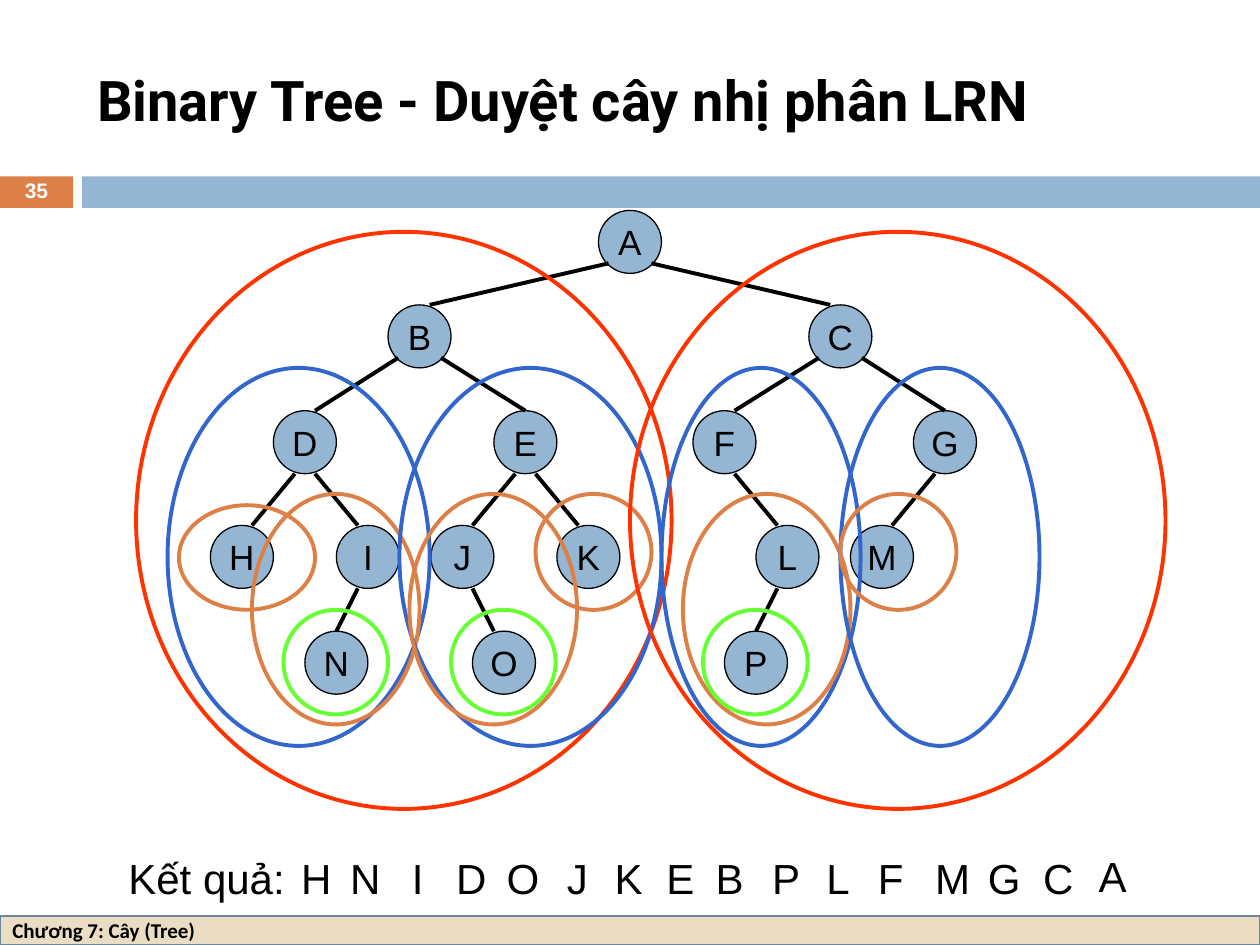
from lxml import etree
from pptx import Presentation
from pptx.dml.color import RGBColor
from pptx.enum.shapes import MSO_CONNECTOR, MSO_SHAPE
from pptx.enum.text import MSO_ANCHOR, MSO_AUTO_SIZE, PP_ALIGN
from pptx.oxml.ns import qn
from pptx.util import Inches, Pt

RECT, OVAL = MSO_SHAPE.RECTANGLE, MSO_SHAPE.OVAL
LINE = MSO_CONNECTOR.STRAIGHT
MIDDLE, TOP = MSO_ANCHOR.MIDDLE, MSO_ANCHOR.TOP
LEFT, CENTER = PP_ALIGN.LEFT, PP_ALIGN.CENTER
FIXED, GROW = MSO_AUTO_SIZE.NONE, MSO_AUTO_SIZE.SHAPE_TO_FIT_TEXT

BLACK, WHITE = "000000", "FFFFFF"
SKY, SAND, SLATE = "94B6D2", "EBDDC3", "6B859A"
RED, BLUE, ORANGE, GREEN = "FF3300", "3366CC", "DD8047", "66FF33"

HEAD = {"name": "Roboto", "size": Pt(32), "bold": True}
NOTE = {"name": "Calibri", "size": Pt(12), "bold": True}
PAGE = {"name": "Arial", "size": Pt(12), "bold": True}
NODE = {"name": "Arial", "size": Pt(20)}
ANSWER = {"name": "Arial", "size": Pt(24)}

SIZE = 0.5
ROWS = [1.67, 2.42, 3.26, 4.17, 5.01]
NODES = {
    "A": (0, 4.75), "B": (1, 3.08), "C": (1, 6.42),
    "D": (2, 2.17), "E": (2, 3.92), "F": (2, 5.5), "G": (2, 7.25),
    "H": (3, 1.67), "I": (3, 2.67), "J": (3, 3.42), "K": (3, 4.42),
    "L": (3, 6), "M": (3, 6.75),
    "N": (4, 2.42), "O": (4, 3.75), "P": (4, 5.75),
}
LEFTS = ["AB", "BD", "CF", "DH", "EJ", "GM", "IN", "LP"]
RIGHTS = ["AC", "BE", "CG", "DI", "EK", "FL", "JO"]
JOINS = [
    (0.08, 0.42, 0.33, 0.17),
    (0.08, 0.42, 0.33, 0.25),
    (0.17, 0.5, 0.33, 0.17),
    (0.17, 0.5, 0.25, 0.17),
]

RINGS = [
    (RED, 1.08, 1.84, 4.25, 4.58),
    (BLUE, 1.33, 2.92, 2.08, 3),
    (ORANGE, 1.42, 4.01, 1.08, 0.83),
    (ORANGE, 2, 3.92, 1.33, 1.83),
    (GREEN, 2.25, 4.84, 0.83, 0.83),
    (BLUE, 3.17, 2.92, 2.08, 3),
    (ORANGE, 3.25, 3.92, 1.33, 1.83),
    (GREEN, 3.58, 4.84, 0.83, 0.83),
    (ORANGE, 4.25, 3.92, 0.92, 0.92),
    (RED, 5, 1.84, 4.25, 4.58),
    (BLUE, 5.25, 2.92, 1.58, 3),
    (ORANGE, 5.42, 3.92, 1.33, 1.83),
    (GREEN, 5.58, 4.84, 0.83, 0.83),
    (BLUE, 6.67, 2.92, 1.58, 3),
    (ORANGE, 6.67, 3.92, 0.92, 0.92),
]

RESULT = [
    ("Kết quả:", 0.92, 1.44), ("H", 2.29, 0.44), ("N", 2.68, 0.44),
    ("I", 3.17, 0.29), ("D", 3.52, 0.44), ("O", 3.92, 0.46),
    ("J", 4.4, 0.36), ("K", 4.78, 0.42), ("E", 5.19, 0.42),
    ("B", 5.58, 0.42), ("P", 6.03, 0.42), ("L", 6.46, 0.38),
    ("F", 6.87, 0.4), ("M", 7.32, 0.48), ("G", 7.74, 0.46),
    ("C", 8.18, 0.44), ("A", 8.62, 0.42),
]


def paint(color, value):
    color.rgb = RGBColor.from_string(value)


def write(shape, text, style, color=BLACK, align=CENTER, anchor=MIDDLE,
          wrap=True, fit=FIXED):
    frame = shape.text_frame
    form = {"word_wrap": wrap, "auto_size": fit, "vertical_anchor": anchor}
    for key, value in form.items():
        setattr(frame, key, value)
    para = frame.paragraphs[0]
    para.alignment = align
    run = para.add_run()
    run.text = text
    for key, value in style.items():
        setattr(run.font, key, value)
    paint(run.font.color, color)
    return para


def add_form(slide, kind, box, fill=None, line=None, width=2.25):
    shape = slide.shapes.add_shape(kind, *map(Inches, box))
    shape.shadow.inherit = False
    if fill:
        shape.fill.solid()
        paint(shape.fill.fore_color, fill)
    else:
        shape.fill.background()
    if line:
        paint(shape.line.color, line)
        shape.line.width = Pt(width)
    else:
        shape.line.fill.background()
    return shape


def add_text(slide, box, text, style, **form):
    shape = slide.shapes.add_textbox(*map(Inches, box))
    return write(shape, text, style, **form)


def add_title(slide, text):
    title = slide.shapes.title
    box = {"left": 0.67, "top": 0.25, "width": 8.92, "height": 1.08}
    for key, value in box.items():
        setattr(title, key, Inches(value))
    write(title, text, HEAD, align=LEFT)


def add_bars(slide):
    add_form(slide, RECT, (0, 1.4, 0.58, 0.25), ORANGE)
    add_form(slide, RECT, (0.65, 1.4, 9.35, 0.25), SKY)
    base = add_form(slide, RECT, (0, 7.27, 10, 0.23), SAND, SLATE, 1.5)
    write(base, "Chương 7: Cây (Tree)", NOTE, align=LEFT)
    page = add_text(slide, (0, 1.39, 0.58, 0.27), "35", PAGE, color=WHITE)
    page.line_spacing = 0.8


def add_node(slide, name):
    level, left = NODES[name]
    box = (left, ROWS[level], SIZE, SIZE)
    shape = add_form(slide, OVAL, box, SKY, BLACK, 0.75)
    write(shape, name, NODE, wrap=False)


def add_edge(slide, pair, right):
    (level, left), (below, child) = (NODES[name] for name in pair)
    inset, drop, *ends = JOINS[level]
    start = SIZE - inset if right else inset
    points = (left + start, ROWS[level] + drop, child + ends[right], ROWS[below])
    edge = slide.shapes.add_connector(LINE, *map(Inches, points))
    paint(edge.line.color, BLACK)
    edge.line.width = Pt(2.25)
    etree.SubElement(edge._element.spPr, qn("a:effectLst"))


def add_tree(slide):
    for name in NODES:
        add_node(slide, name)
    for right, pairs in enumerate((LEFTS, RIGHTS)):
        for pair in pairs:
            add_edge(slide, pair, right)


def main():
    deck = Presentation()
    deck.slide_width, deck.slide_height = Inches(10), Inches(7.5)
    slide = deck.slides.add_slide(deck.slide_layouts[5])
    add_title(slide, "Binary Tree - Duyệt cây nhị phân LRN")
    add_bars(slide)
    add_tree(slide)
    for color, *box in RINGS:
        add_form(slide, OVAL, box, line=color)
    for text, left, width in RESULT:
        top = 6.7 if text == "A" else 6.72
        add_text(slide, (left, top, width, 0.5), text, ANSWER,
                 anchor=TOP, wrap=False, fit=GROW)
    deck.save("out.pptx")


if __name__ == "__main__":
    main()
